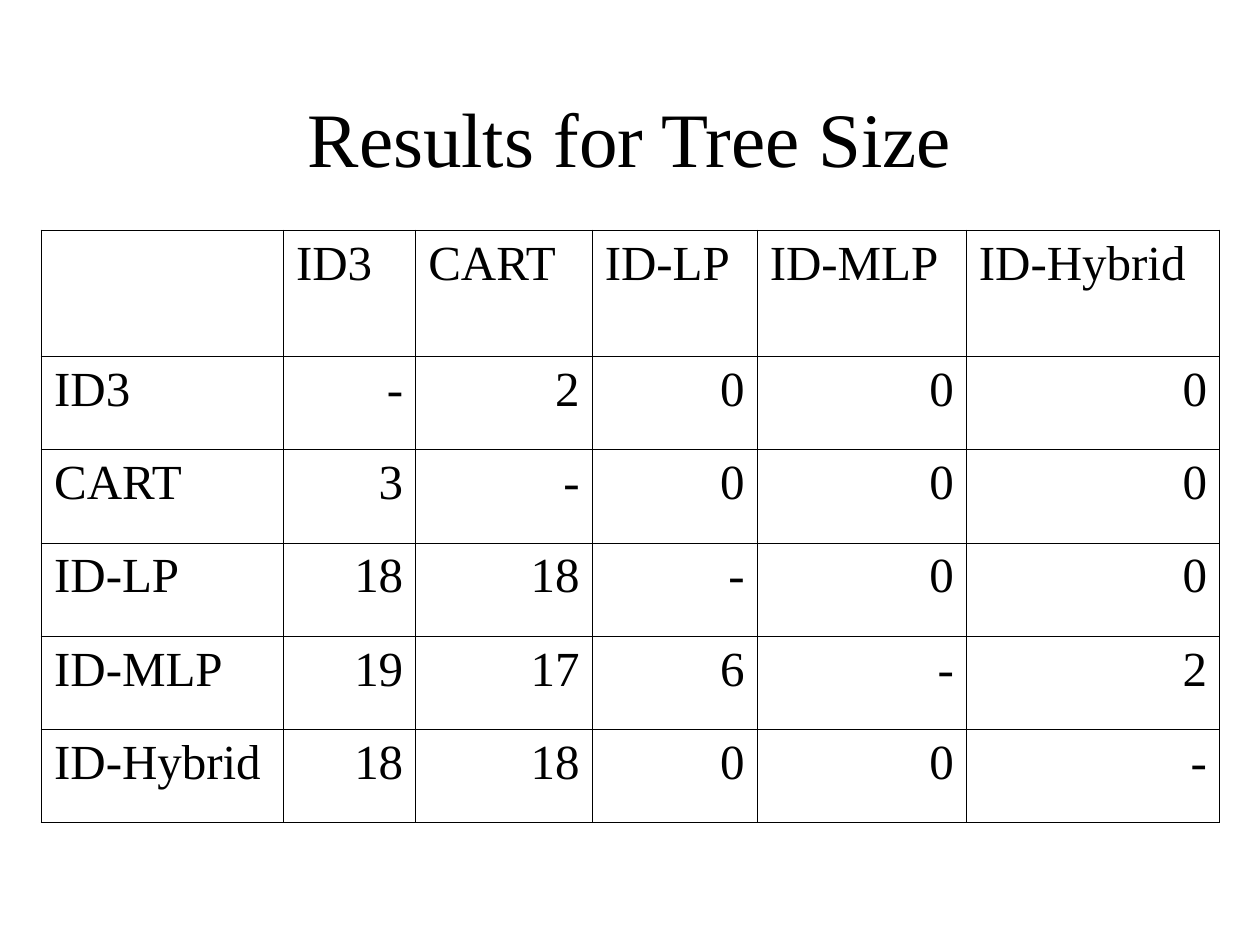
import pptx
import pptx.dml.color
import pptx.enum.text
import pptx.oxml
import pptx.oxml.ns
import pptx.util
from pptx.util import Inches

COLORS = {"ink": "000000", "paper": "FFFFFF"}
FONT = "Times New Roman"
THIN, THICK = 0.45, 1.08
METHODS = ["ID3", "CART", "ID-LP", "ID-MLP", "ID-Hybrid"]
RESULTS = [
    ["-", "2", "0", "0", "0"],
    ["3", "-", "0", "0", "0"],
    ["18", "18", "-", "0", "0"],
    ["19", "17", "6", "-", "2"],
    ["18", "18", "0", "0", "-"],
]
COL_WIDTHS = [1.92, 1.05, 1.4, 1.31, 1.66, 2.01]
ROW_HEIGHTS = [1] + [0.74] * len(METHODS)
ALIGN = pptx.enum.text.PP_ALIGN


def style_paragraph(p, size, align):
    p.alignment = align
    for r in p.runs:
        r.font.name = FONT
        r.font.size = pptx.util.Pt(size)
        r.font.color.rgb = pptx.dml.color.RGBColor.from_string(COLORS["ink"])


def add_border(cell, side, width):
    """Draw one side (L, R, T or B) of a cell; width is in points."""
    cell._tc.get_or_add_tcPr().append(pptx.oxml.parse_xml(
        f'<a:ln{side} {pptx.oxml.ns.nsdecls("a")} w="{pptx.util.Pt(width)}">'
        f'<a:solidFill><a:srgbClr val="{COLORS["ink"]}"/></a:solidFill>'
        f'</a:ln{side}>'))


prs = pptx.Presentation()
prs.slide_width, prs.slide_height = Inches(10), Inches(7.5)
s = prs.slides.add_slide(prs.slide_layouts[5])
s.background.fill.solid()
s.background.fill.fore_color.rgb = pptx.dml.color.RGBColor.from_string(COLORS["paper"])

title = s.shapes.title
title.left, title.top = Inches(0.75), Inches(0.67)
title.width, title.height = Inches(8.5), Inches(0.83)
tf = title.text_frame
tf.text = "Results for Tree Size"
tf.vertical_anchor = pptx.enum.text.MSO_ANCHOR.MIDDLE
style_paragraph(tf.paragraphs[0], 44, ALIGN.CENTER)

rows = [[""] + METHODS] + [[name] + values for name, values in zip(METHODS, RESULTS)]
last = len(METHODS)
table = s.shapes.add_table(
    len(rows), len(COL_WIDTHS), Inches(0.33), Inches(1.83),
    Inches(sum(COL_WIDTHS)), Inches(sum(ROW_HEIGHTS))).table
table.first_row = False
table.horz_banding = False
for column, width in zip(table.columns, COL_WIDTHS):
    column.width = Inches(width)
for row, height in zip(table.rows, ROW_HEIGHTS):
    row.height = Inches(height)

for i, row in enumerate(rows):
    for j, text in enumerate(row):
        cell = table.cell(i, j)
        if text:
            p = cell.text_frame.paragraphs[0]
            p.text = text
            p.space_before = pptx.util.Pt(7)
            style_paragraph(p, 28, ALIGN.RIGHT if i and j else ALIGN.LEFT)
        outer = {"L": j == 0, "R": j == last, "T": i == 0, "B": i == last}
        for side, is_outer in outer.items():
            add_border(cell, side, THICK if is_outer else THIN)
        cell.fill.background()

prs.save("out.pptx")
